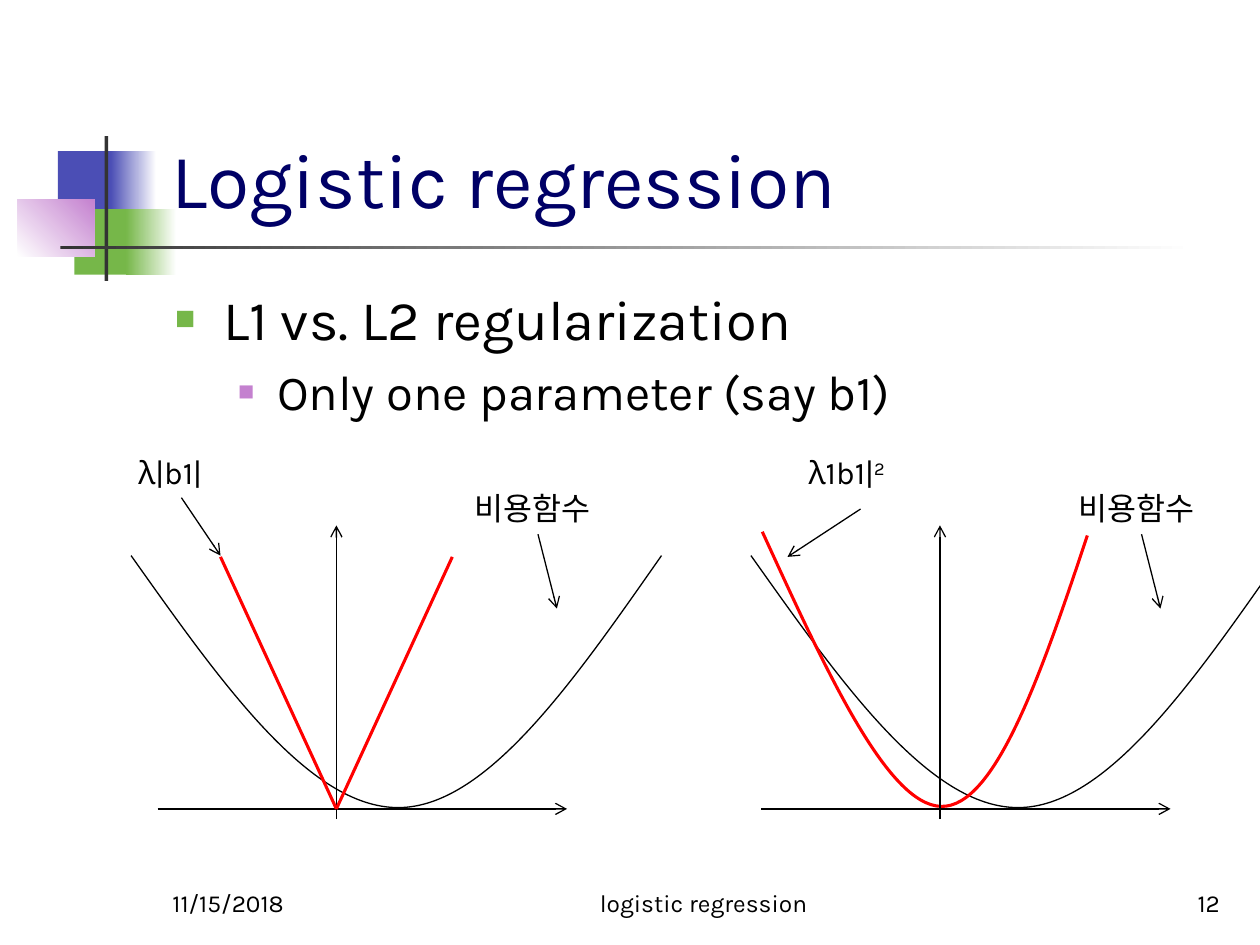
from lxml.etree import SubElement
from pptx import Presentation
from pptx.dml.color import RGBColor
from pptx.enum.shapes import MSO_CONNECTOR as Link, MSO_SHAPE as Form
from pptx.enum.text import MSO_ANCHOR as Anchor, MSO_AUTO_SIZE as Fit, PP_ALIGN as Align
from pptx.oxml.ns import qn
from pptx.util import Inches, Pt

rgb = RGBColor.from_string
deck = Presentation()
deck.slide_width, deck.slide_height = Inches(10), Inches(7.5)
slide = deck.slides.add_slide(deck.slide_layouts[1])
shapes = slide.shapes


def write(para, text, size, color="000000"):
    run = para.add_run()
    run.text = text
    for key, val in {"name": "Karla", "size": Pt(size)}.items():
        setattr(run.font, key, val)
    run.font.color.rgb = rgb(color)
    return run


def label(x, y, w, h, text, size, form):
    box = shapes.add_textbox(Inches(x), Inches(y), Inches(w), Inches(h))
    for key, val in form.items():
        setattr(box.text_frame, key, val)
    para = box.text_frame.paragraphs[0]
    write(para, text, size)
    return para


# Corner blocks and rules: one colour is solid, two make a gradient
blocks = [
    (0.46, 1.2, 0.48, 0.52, ["4B4EB5"], 0),
    (0.88, 1.2, 0.36, 0.52, ["4B4EB5", "FFFFFF"], 0),
    (0.59, 1.66, 0.46, 0.52, ["76B749"], 0),
    (1, 1.66, 0.4, 0.52, ["76B749", "FFFFFF"], 0),
    (0.14, 1.58, 0.61, 0.46, ["FFFFFF", "C481CF"], 45),
    (0.83, 1.08, 0.03, 1.15, ["333333"], 0),
    (0.48, 1.95, 9, 0.03, ["333333", "FFFFFF"], 0),
]
for x, y, w, h, tints, angle in blocks:
    block = shapes.add_shape(Form.RECTANGLE, Inches(x), Inches(y), Inches(w), Inches(h))
    block.shadow.inherit = False
    block.line.fill.background()
    if len(tints) == 1:
        block.fill.solid()
        block.fill.fore_color.rgb = rgb(tints[0])
    else:
        block.fill.gradient()
        block.fill.gradient_angle = angle
        for stop, tint, place in zip(block.fill.gradient_stops, tints, (0, 1)):
            stop.color.rgb = rgb(tint)
            stop.position = place

# Title and body placeholders
title, body = shapes.title, slide.placeholders[1]
for holder, (x, y, w, h), anchor in [
    (title, (1.26, 0.23, 8.52, 1.6), Anchor.BOTTOM),
    (body, (1.29, 2.21, 8.5, 4.5), Anchor.TOP),
]:
    spot = {"left": x, "top": y, "width": w, "height": h}
    for key, val in spot.items():
        setattr(holder, key, Inches(val))
    holder.text_frame.vertical_anchor = anchor
    holder.text_frame.auto_size = Fit.NONE
head = title.text_frame.paragraphs[0]
head.alignment = Align.LEFT
write(head, "Logistic regression", 44, "000066")

# Bulleted list
items = [
    ("L1 vs. L2 regularization", 32, 0.38, 0.38, "76B749", 60),
    ("Only one parameter (say b1)", 28, 0.81, 0.31, "C481CF", 55),
]
for level, (text, size, left, hang, tint, scale) in enumerate(items):
    para = body.text_frame.add_paragraph() if level else body.text_frame.paragraphs[0]
    para.level = level
    para.space_before = Pt(5.6 * level)
    props = para._p.get_or_add_pPr()
    props.set("marL", str(Inches(left)))
    props.set("indent", str(-Inches(hang)))
    SubElement(SubElement(props, qn("a:buClr")), qn("a:srgbClr"), val=tint)
    SubElement(props, qn("a:buSzPct"), val=str(scale * 1000))
    SubElement(props, qn("a:buChar"), char="■")
    write(para, text, size)

# Footer row
for x, w, text, align in [
    (1.27, 2.08, "11/15/2018", Align.LEFT),
    (4, 3.17, "logistic regression", Align.CENTER),
    (7.7, 2.08, "12", Align.RIGHT),
]:
    foot = {"word_wrap": True, "vertical_anchor": Anchor.BOTTOM}
    label(x, 6.83, w, 0.5, text, 14, foot).alignment = align

# Curves: start point, then cubic pieces of two handles and an end
cost = [(1.04, 4.41), (1.75, 5.41), (2.45, 6.41), (3.16, 6.41),
        (3.86, 6.41), (4.55, 5.41), (5.25, 4.41)]
square = [(6.05, 4.22), (6.55, 5.31), (7.04, 6.39), (7.47, 6.4),
          (7.9, 6.41), (8.27, 5.33), (8.63, 4.25)]
for knots, shift, color, width in [
    (cost, 0, "000000", 0.75),
    (cost, 4.92, "000000", 0.75),
    (square, 0, "FF0000", 1.75),
]:
    dots = [(Inches(x + shift), Inches(y)) for x, y in knots]
    pen = shapes.build_freeform(*dots[0])
    pen.add_line_segments(dots[1:], close=False)
    curve = pen.convert_to_shape()
    # Join each three straight steps into one cubic piece
    steps = list(curve._element.iter(qn("a:lnTo")))
    route = steps[0].getparent()
    for i in (0, 3):
        piece = SubElement(route, qn("a:cubicBezTo"))
        for step in steps[i:i + 3]:
            piece.append(step[0])
            route.remove(step)
    curve.shadow.inherit = False
    curve.fill.background()
    curve.line.color.rgb = rgb(color)
    curve.line.width = Pt(width)

# Axes and pointers of both graphs, then the L1 penalty
gap = 4.79
arrows = [(1.25, 6.42, 4.5, 6.42), (2.67, 6.5, 2.67, 4.17), (4.27, 4.24, 4.42, 4.83)]
arrows += [(a + gap, b, c + gap, d) for a, b, c, d in arrows]
arrows += [(1.44, 3.95, 1.75, 4.41), (6.83, 4.04, 6.25, 4.42)]
rays = [(2.67, 6.42, x, 4.42) for x in (1.75, 3.59)]
for ends in arrows + rays:
    line = shapes.add_connector(Link.STRAIGHT, *map(Inches, ends))
    line.line.color.rgb = rgb("FF0000" if ends in rays else "000000")
    line.line.width = Pt(1.75 if ends in rays else 0.75)
    props = line._element.spPr
    if ends in arrows:
        SubElement(props.find(qn("a:ln")), qn("a:tailEnd"), type="arrow")
    SubElement(props, qn("a:effectLst"))

# Graph labels
note = {"word_wrap": False, "auto_size": Fit.SHAPE_TO_FIT_TEXT}
label(1, 3.55, 0.88, 0.4, "λ|b1|", 18, note)
power = write(label(6.32, 3.55, 1.01, 0.4, "λ1b1|", 18, note), "2", 18)
power._r.get_or_add_rPr().set("baseline", "30000")
for x in (3.67, 3.67 + gap):
    label(x, 3.83, 1.21, 0.4, "비용함수", 18, note)

deck.save("out.pptx")
